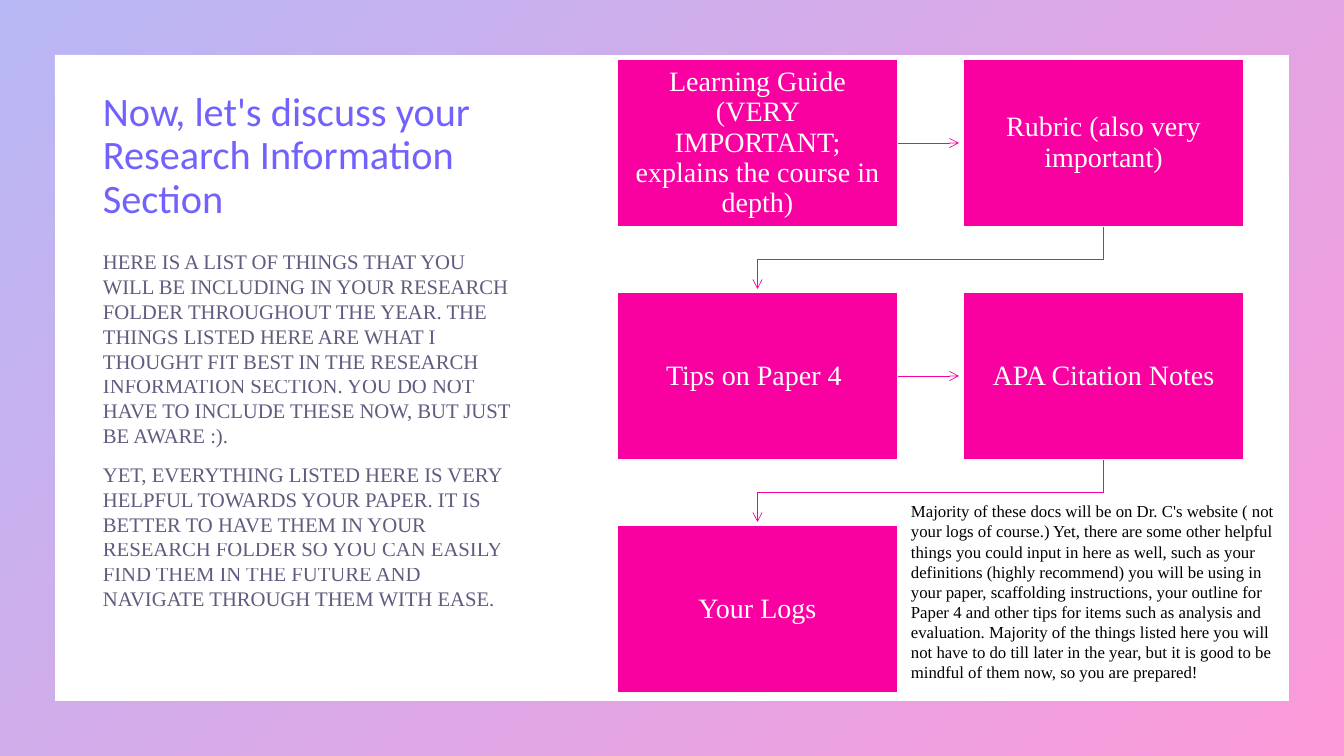
"""Build the Research Information slide: introduction at left, document flow at right."""
from dataclasses import dataclass

from lxml import etree
from pptx import Presentation
from pptx import util as u
from pptx.dml.color import RGBColor
from pptx.enum import shapes, text
from pptx.oxml.ns import qn

PX = 914400 / 100.8


def px(n):
    return u.Emu(round(n * PX))


@dataclass(frozen=True)
class Theme:
    pink: str = "F900A0"
    blue: str = "4D4EE6"
    violet: str = "7162FE"
    ink: str = "201449"
    black: str = "000000"
    white: str = "FFFFFF"
    head_font: str = "Calibri"
    body_font: str = "Times New Roman"
    title: float = 28.8
    body: float = 14.8
    box: float = 20
    note: float = 12


class Deck:
    def __init__(self, theme):
        self.theme = theme
        self.prs = Presentation()
        self.prs.slide_width, self.prs.slide_height = px(1344), px(756)
        self.s = self.prs.slides.add_slide(self.prs.slide_layouts[6])

    def fade(self, element, percent):
        for clr in element.iter(qn("a:srgbClr")):
            etree.SubElement(clr, qn("a:alpha"), val=str(percent * 1000))

    def frame(self, thickness):
        sp = self.s.shapes.add_shape(shapes.MSO_SHAPE.FRAME, 0, 0, px(1344), px(756))
        sp.adjustments[0] = thickness
        sp.shadow.inherit = False
        sp.line.fill.background()
        sp.fill.gradient()
        sp.fill.gradient_angle = 315
        for stop, colour in zip(sp.fill.gradient_stops, (self.theme.blue, self.theme.pink)):
            stop.color.rgb = RGBColor.from_string(colour)
        self.fade(sp._element.spPr, 40)

    def style(self, tf, words, font, size, colour, alpha=100, spacing=None, gap=0, align=None):
        tf.word_wrap = True
        tf.text = words
        for i, p in enumerate(tf.paragraphs):
            p.alignment = align
            p.line_spacing = spacing
            if i:
                p.space_before = u.Pt(gap)
            for r in p.runs:
                r.font.name, r.font.size = font, u.Pt(size)
                r.font.color.rgb = RGBColor.from_string(colour)
                if alpha < 100:
                    self.fade(r._r, alpha)

    def label(self, x, y, w, h, words, *style, anchor=text.MSO_ANCHOR.TOP, **layout):
        tf = self.s.shapes.add_textbox(px(x), px(y), px(w), px(h)).text_frame
        tf.vertical_anchor = anchor
        self.style(tf, words, *style, **layout)

    def box(self, x, y, w, h, words):
        t = self.theme
        sp = self.s.shapes.add_shape(shapes.MSO_SHAPE.RECTANGLE, px(x), px(y), px(w), px(h))
        sp.shadow.inherit = False
        sp.fill.solid()
        sp.fill.fore_color.rgb = RGBColor.from_string(t.pink)
        sp.line.color.rgb = RGBColor.from_string(t.white)
        sp.line.width = u.Pt(1)
        tf = sp.text_frame
        tf.margin_left = tf.margin_right = tf.margin_top = tf.margin_bottom = px(14)
        tf.vertical_anchor = text.MSO_ANCHOR.MIDDLE
        self.style(tf, words, t.body_font, t.box, t.white,
                   spacing=0.9, align=text.PP_ALIGN.CENTER)
        return sp

    def arrowhead(self, sp):
        sp.line.color.rgb = RGBColor.from_string(self.theme.pink)
        sp.line.width = u.Pt(0.5)
        etree.SubElement(sp.line._get_or_add_ln(), qn("a:tailEnd"), type="arrow")

    def arrow(self, start, length):
        x, y = start.left + start.width, start.top + start.height // 2
        sp = self.s.shapes.add_connector(shapes.MSO_CONNECTOR.STRAIGHT, x, y, x + px(length), y)
        sp.begin_connect(start, 3)
        self.arrowhead(sp)
        etree.SubElement(sp._element.spPr, qn("a:effectLst"))

    def elbow(self, start, end, gap):
        x1, y1 = start.left + start.width // 2, start.top + start.height
        x2, y2 = end.left + end.width // 2, end.top - px(gap)
        turn = (y1 + end.top) // 2
        path = self.s.shapes.build_freeform(x1, y1)
        path.add_line_segments([(x1, turn), (x2, turn), (x2, y2)], close=False)
        sp = path.convert_to_shape()
        sp.shadow.inherit = False
        sp.fill.background()
        self.arrowhead(sp)


INTRO = (
    "HERE IS A LIST OF THINGS THAT YOU WILL BE INCLUDING IN YOUR RESEARCH FOLDER "
    "THROUGHOUT THE YEAR. THE THINGS LISTED HERE ARE WHAT I THOUGHT FIT BEST IN THE "
    "RESEARCH INFORMATION SECTION. YOU DO NOT HAVE TO INCLUDE THESE NOW, BUT JUST BE "
    "AWARE :).\n"
    "YET, EVERYTHING LISTED HERE IS VERY HELPFUL TOWARDS YOUR PAPER. IT IS BETTER TO "
    "HAVE THEM IN YOUR RESEARCH FOLDER SO YOU CAN EASILY FIND THEM IN THE FUTURE AND "
    "NAVIGATE THROUGH THEM WITH EASE."
)
NOTE = (
    "Majority of these docs will be on Dr. C's website ( not your logs of course.) Yet, "
    "there are some other helpful things you could input in here as well, such as your "
    "definitions (highly recommend) you will be using in your paper, scaffolding "
    "instructions, your outline for Paper 4 and other tips for items such as analysis "
    "and evaluation. Majority of the things listed here you will not have to do till "
    "later in the year, but it is good to be mindful of them now, so you are prepared!"
)
STEPS = (
    "Learning Guide (VERY IMPORTANT; explains the course in depth)",
    "Rubric (also very important)",
    "Tips on Paper 4 ",
    "APA Citation Notes",
    "Your Logs",
)


def main():
    t = Theme()
    deck = Deck(t)
    deck.frame(0.072)
    deck.label(93, 76, 433, 151, "Now, let's discuss your Research Information\vSection",
               t.head_font, t.title, t.violet, anchor=text.MSO_ANCHOR.BOTTOM, spacing=0.9)
    deck.label(93, 244, 433, 403, INTRO, t.body_font, t.body, t.ink, alpha=70, gap=10)
    boxes = [deck.box(617 + 346 * (i % 2), 59 + 233 * (i // 2), 281, 168, step)
             for i, step in enumerate(STEPS)]
    for i, (start, end) in enumerate(zip(boxes, boxes[1:])):
        if i % 2:
            deck.elbow(start, end, 3)
        else:
            deck.arrow(start, 61)
    deck.label(901, 496, 395, 214, NOTE, t.body_font, t.note, t.black)
    deck.prs.save("out.pptx")


if __name__ == "__main__":
    main()
